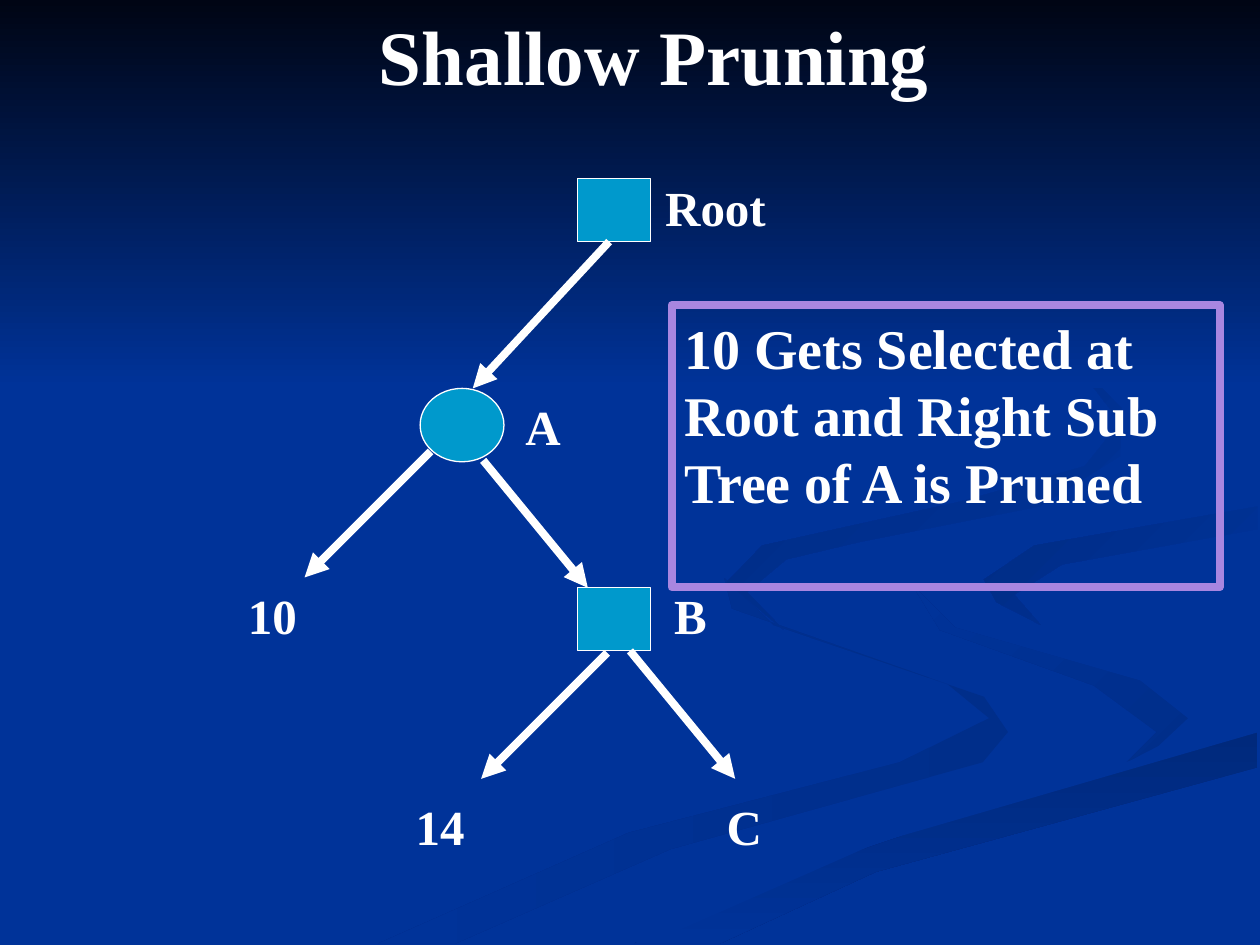
from dataclasses import dataclass

from lxml.etree import SubElement
from pptx import Presentation
from pptx.dml.color import RGBColor
from pptx.enum.shapes import MSO_CONNECTOR, MSO_SHAPE
from pptx.enum.text import MSO_ANCHOR, MSO_AUTO_SIZE, PP_ALIGN
from pptx.oxml.ns import qn
from pptx.util import Cm, Pt

COLORS = {
    "background": "003399", "night": "000514", "white": "FFFFFF",
    "node": "0099CC", "frame": "A886E0",
    "shade_a": "002E8A", "shade_b": "00297C", "shade_c": "002C85", "shade_d": "002B81",
}
FONT = "Times New Roman"
CURVE_UNIT = Cm(0.0254)  # ribbon outlines use a grid of 1000 by 750


@dataclass
class Ribbon:
    start_color: str
    end_color: str
    angle: int  # counter-clockwise
    outline: list


@dataclass
class Node:
    kind: MSO_SHAPE
    left: float
    top: float
    width: float = 1.48
    height: float = 1.27


@dataclass
class Arrow:
    start: tuple
    end: tuple


@dataclass
class Label:
    text: str
    left: float
    top: float
    width: float


RIBBONS = [
    Ribbon("shade_a", "background", 180, [
        (781, 553), (614, 496), (575, 459), (581, 483), (752, 543), (785, 570),
        (714, 605), (499, 661), (300, 749), (361, 749), (532, 674), (780, 605), (800, 581)]),
    Ribbon("shade_a", "background", 135, [
        (943, 570), (905, 540), (758, 498), (724, 464), (746, 500), (868, 544),
        (918, 581), (894, 605), (941, 581)]),
    Ribbon("shade_b", "background", 270, [
        (503, 749), (571, 749), (695, 692), (998, 609), (998, 581), (764, 647), (630, 693)]),
    Ribbon("background", "background", 0, [
        (725, 464), (759, 498), (905, 540), (943, 570), (911, 600), (663, 668), (477, 749),
        (519, 747), (696, 669), (999, 581), (999, 538), (832, 498), (781, 463), (822, 434),
        (999, 402), (999, 387), (788, 422)]),
    Ribbon("background", "shade_c", 135, [
        (781, 460), (791, 478), (826, 496), (805, 472), (843, 448), (998, 420),
        (998, 402), (821, 433)]),
    Ribbon("background", "shade_d", 135, [
        (683, 430), (825, 402), (889, 362), (890, 324), (843, 275), (762, 233), (846, 279),
        (889, 335), (861, 370), (763, 398), (605, 433), (577, 462), (622, 500), (593, 470),
        (624, 444)]),
    Ribbon("night", "background", 270, [(0, 0), (0, 308), (1000, 308), (1000, 0)]),
]

NODES = [
    Node(MSO_SHAPE.FLOWCHART_PROCESS, 11.64, 3.6),
    Node(MSO_SHAPE.FLOWCHART_CONNECTOR, 8.47, 7.83, 1.69, 1.48),
    Node(MSO_SHAPE.FLOWCHART_PROCESS, 11.64, 11.85),
]

ARROWS = [
    Arrow((12.28, 4.87), (9.53, 7.83)),
    Arrow((8.68, 9.1), (6.14, 11.64)),
    Arrow((9.74, 9.28), (11.85, 11.85)),
    Arrow((12.24, 13.16), (9.7, 15.7)),
    Arrow((12.7, 13.12), (14.82, 15.7)),
]

LABELS = [
    Label("Root", 13.16, 3.4, 2.82),
    Label("A", 10.34, 7.83, 1.24),
    Label("10", 4.75, 11.64, 1.6),
    Label("14", 8.13, 15.88, 1.6),
    Label("C", 14.4, 15.88, 1.17),
    Label("B", 13.34, 11.64, 1.17),
]


def rgb(name: str) -> RGBColor:
    return RGBColor.from_string(COLORS[name])


def write(shape, text: str, *, size: int = 28, color: str = "white", bold: bool = True) -> None:
    frame = shape.text_frame
    frame.word_wrap = True
    frame.auto_size = MSO_AUTO_SIZE.NONE
    frame.vertical_anchor = MSO_ANCHOR.TOP
    frame.margin_left = frame.margin_right = Cm(0.25)
    frame.margin_top, frame.margin_bottom = Cm(0.17), Cm(0.13)
    paragraph = frame.paragraphs[0]
    paragraph.alignment = PP_ALIGN.LEFT
    paragraph.line_spacing = Pt(round(size * 1.2, 1))
    run = paragraph.add_run()
    run.text = text
    run.font.name, run.font.size, run.font.bold = FONT, Pt(size), bold
    run.font.color.rgb = rgb(color)


def draw_ribbon(slide, ribbon: Ribbon) -> None:
    builder = slide.shapes.build_freeform(*ribbon.outline[0], scale=CURVE_UNIT)
    builder.add_line_segments(ribbon.outline[1:], close=True)
    shape = builder.convert_to_shape()
    shape.shadow.inherit = False
    shape.line.fill.background()
    if ribbon.start_color == ribbon.end_color:
        shape.fill.solid()
        shape.fill.fore_color.rgb = rgb(ribbon.start_color)
        return
    shape.fill.gradient()
    shape.fill.gradient_angle = ribbon.angle
    for stop, color in zip(shape.fill.gradient_stops, (ribbon.start_color, ribbon.end_color)):
        stop.color.rgb = rgb(color)


def draw_node(slide, node: Node) -> None:
    shape = slide.shapes.add_shape(
        node.kind, Cm(node.left), Cm(node.top), Cm(node.width), Cm(node.height))
    shape.shadow.inherit = False
    shape.fill.solid()
    shape.fill.fore_color.rgb = rgb("node")
    shape.line.color.rgb = rgb("white")
    shape.line.width = Pt(0.75)


def draw_arrow(slide, arrow: Arrow) -> None:
    ends = [Cm(value) for value in arrow.start + arrow.end]
    connector = slide.shapes.add_connector(MSO_CONNECTOR.STRAIGHT, *ends)
    connector.line.color.rgb = rgb("white")
    connector.line.width = Pt(4.5)
    properties = connector.element.spPr
    SubElement(properties.find(qn("a:ln")), qn("a:tailEnd"), type="triangle")
    SubElement(properties, qn("a:effectLst"))


def draw_label(slide, label: Label) -> None:
    box = slide.shapes.add_textbox(Cm(label.left), Cm(label.top), Cm(label.width), Cm(1.45))
    write(box, label.text)


def main() -> None:
    deck = Presentation()
    deck.slide_width, deck.slide_height = Cm(25.4), Cm(19.05)
    slide = deck.slides.add_slide(deck.slide_layouts[5])

    # Background
    slide.background.fill.solid()
    slide.background.fill.fore_color.rgb = rgb("background")
    for ribbon in RIBBONS:
        draw_ribbon(slide, ribbon)

    # Title, brought in front of the background
    title = slide.shapes.title
    title.left, title.top, title.width, title.height = Cm(7.39), Cm(0), Cm(13.49), Cm(2.13)
    write(title, "Shallow Pruning", size=44)
    title.element.getparent().append(title.element)

    # Game tree
    for node in NODES:
        draw_node(slide, node)
    for arrow in ARROWS:
        draw_arrow(slide, arrow)
    for label in LABELS:
        draw_label(slide, label)

    # Conclusion
    conclusion = slide.shapes.add_shape(
        MSO_SHAPE.RECTANGLE, Cm(13.54), Cm(6.15), Cm(11.05), Cm(5.69))
    conclusion.shadow.inherit = False
    conclusion.fill.background()
    conclusion.line.color.rgb = rgb("frame")
    conclusion.line.width = Pt(4.5)
    write(conclusion, "10 Gets Selected at Root and Right Sub Tree of A is Pruned", size=32)

    deck.save("out.pptx")


if __name__ == "__main__":
    main()
